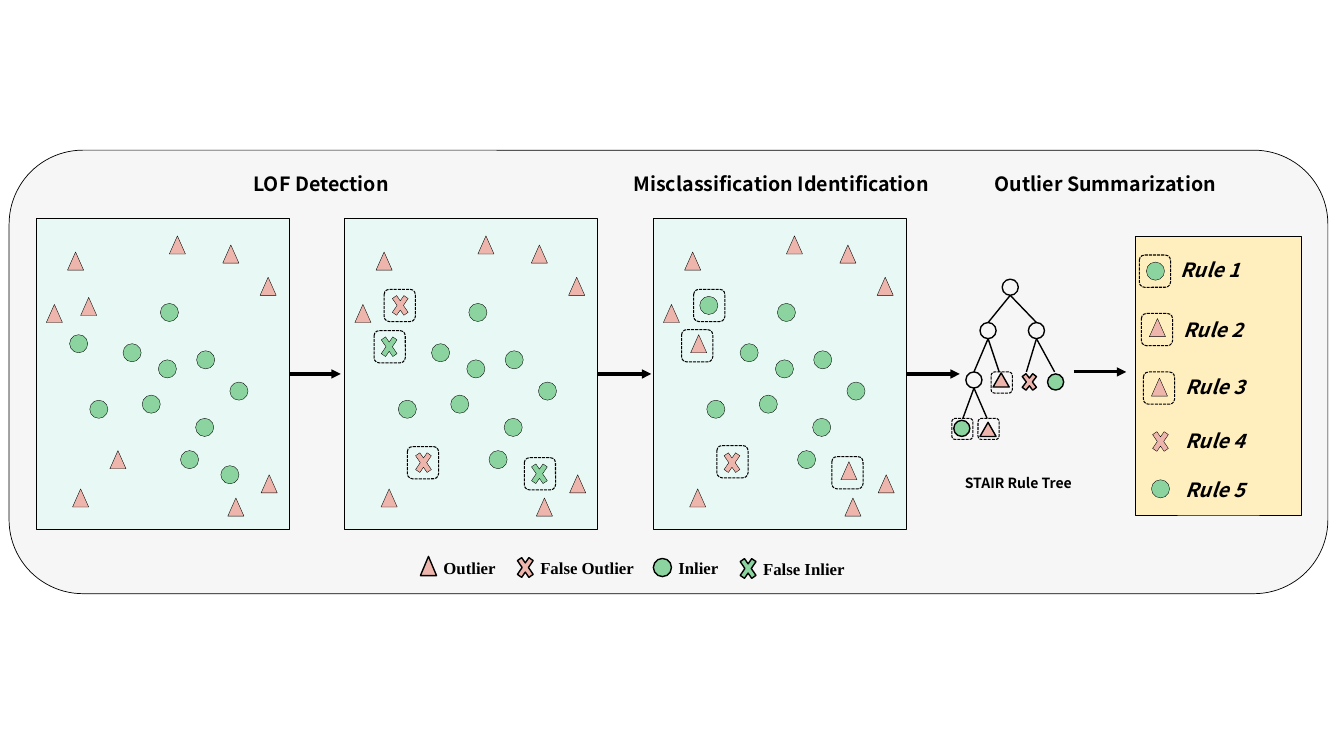
from pptx import Presentation
from pptx.dml.color import RGBColor
from pptx.enum.dml import MSO_LINE
from pptx.enum.shapes import MSO_CONNECTOR, MSO_SHAPE as SHAPE
from pptx.enum.text import MSO_ANCHOR, MSO_AUTO_SIZE, PP_ALIGN
from pptx.oxml.ns import qn
from pptx.util import Pt
from lxml.etree import SubElement

PX = 9144  # 100 px to the inch
SANS, SERIF = "Noto Sans CJK SC", "Times New Roman"
COLORS = {"ink": "000000", "frame": "F6F6F6", "panel": "E8F9F5",
          "rules": "FFEFBE", "outlier": "EDB5AC", "inlier": "8BD49F"}

# kind: preset, colour, width, height
MARKS = {
    "outlier": (SHAPE.ISOSCELES_TRIANGLE, "outlier", 16, 18),
    "inlier": (SHAPE.OVAL, "inlier", 18, 18),
    "false outlier": (SHAPE.MATH_MULTIPLY, "outlier", 22, 32),
    "false inlier": (SHAPE.MATH_MULTIPLY, "inlier", 22, 32),
}

PANEL_LEFT, PANEL_TOP, PANEL_PITCH = 36, 217, 306
PANEL_WIDTH, PANEL_HEIGHT = 251, 308
ARROW_Y = PANEL_TOP + PANEL_HEIGHT // 2
ARROW_ENDS = (338, 646, 952)

# Points found in every panel, placed as in the first one
SHARED_POINTS = {
    "outlier": [(67, 250), (258, 275), (226, 494), (259, 471),
                (46, 302), (221, 243), (168, 234), (72, 485)],
    "inlier": [(159, 301), (195, 348), (141, 392), (194, 415), (228, 379),
               (179, 447), (122, 341), (89, 397), (157, 357)],
}
# Points that change from panel to panel: kind, position, dashed box
CHANGING_POINTS = (
    [("outlier", (109, 447), None), ("outlier", (80, 295), None),
     ("inlier", (219, 462), None), ("inlier", (69, 332), None)],
    [("false outlier", (409, 443), (404, 443)),
     ("false outlier", (386, 287), (381, 287)),
     ("false inlier", (524, 454), (520, 454)),
     ("false inlier", (375, 328), (371, 328))],
    [("false outlier", (715, 443), (711, 442)),
     ("inlier", (694, 294), (688, 287)),
     ("outlier", (834, 458), (825, 453)),
     ("outlier", (685, 332), (676, 327))],
)

# Inner tree nodes: left, top, and the points their branches reach
TREE = [
    (994, 277, [(980, 320), (1028, 320)]),
    (972, 320, [(966, 369), (991, 369)]),
    (1020, 320, [(1018, 369), (1046, 369)]),
    (958, 369, [(955, 415), (979, 415)]),
]
# Leaves: preset, colour, left, top, width, height
LEAVES = [
    (SHAPE.FLOWCHART_EXTRACT, "outlier", 985, 370, 16, 14),
    (SHAPE.MATH_MULTIPLY, "outlier", 1011, 366, 20, 26),
    (SHAPE.OVAL, "inlier", 1039, 371, 16, 16),
    (SHAPE.OVAL, "inlier", 946, 417, 16, 16),
    (SHAPE.ISOSCELES_TRIANGLE, "outlier", 972, 419, 16, 14),
]
LEAF_BOXES = [(983, 369), (944, 415), (970, 415)]

# Rules: kind, mark position, dashed box, label position
RULES = [
    ("inlier", (1137, 260), (1130, 253), (1161, 251)),
    ("outlier", (1140, 316), (1132, 311), (1164, 310)),
    ("outlier", (1142, 375), (1134, 369), (1166, 367)),
    ("false outlier", (1140, 422), None, (1166, 421)),
    ("inlier", (1142, 476), None, (1166, 469)),
]
# Legend: preset, colour, mark box, label, label box
LEGEND = [
    (SHAPE.FLOWCHART_EXTRACT, "outlier", (417, 552, 16, 19),
     "Outlier", (430, 548, 77, 30)),
    (SHAPE.MATH_MULTIPLY, "outlier", (510, 547, 22, 32),
     "False Outlier", (526, 548, 125, 30)),
    (SHAPE.OVAL, "inlier", (648, 554, 18, 18),
     "Inlier", (663, 548, 60, 30)),
    (SHAPE.MATH_MULTIPLY, "inlier", (731, 548, 22, 32),
     "False Inlier", (747, 549, 110, 30)),
]


def rgb(name):
    return RGBColor.from_string(COLORS[name])


def emu(*lengths):
    return [length * PX for length in lengths]


def add_outlined(slide, preset, box, color=None, weight=0.5):
    """Add a preset shape with a black outline; no colour means no fill."""
    shape = slide.shapes.add_shape(preset, *emu(*box))
    shape.shadow.inherit = False
    if color:
        shape.fill.solid()
        shape.fill.fore_color.rgb = rgb(color)
    else:
        shape.fill.background()
    shape.line.color.rgb = rgb("ink")
    shape.line.width = Pt(weight)
    return shape


def add_mark(slide, kind, position):
    preset, color, width, height = MARKS[kind]
    add_outlined(slide, preset, (*position, width, height), color, 0.25)


def add_dashed_box(slide, position, width=31, height=32):
    box = add_outlined(slide, SHAPE.ROUNDED_RECTANGLE,
                       (*position, width, height), weight=0.75)
    box.line.dash_style = MSO_LINE.SQUARE_DOT


def add_line(slide, start, end, weight=1):
    line = slide.shapes.add_connector(MSO_CONNECTOR.STRAIGHT,
                                      *emu(*start, *end))
    line.line.color.rgb = rgb("ink")
    line.line.width = Pt(weight)
    SubElement(line._element.spPr, qn("a:effectLst"))
    return line


def add_arrow(slide, start, end):
    arrow = add_line(slide, start, end, 2.25)
    SubElement(arrow.line._get_or_add_ln(), qn("a:tailEnd"), type="triangle")
    return arrow


def add_text(slide, words, box, size, font=SANS, italic=False, heading=False):
    """Add bold text; a heading is centred both ways in its box."""
    text_box = slide.shapes.add_textbox(*emu(*box))
    frame = text_box.text_frame
    frame.word_wrap = True
    paragraph = frame.paragraphs[0]
    if heading:
        frame.vertical_anchor = MSO_ANCHOR.MIDDLE
        paragraph.alignment = PP_ALIGN.CENTER
    else:
        frame.margin_right = 0
        frame.auto_size = MSO_AUTO_SIZE.SHAPE_TO_FIT_TEXT
    run = paragraph.add_run()
    run.text = words
    run.font.name = font
    run.font.size = Pt(size)
    run.font.bold = True
    run.font.italic = italic
    run.font.color.rgb = rgb("ink")


def add_panel(slide, index):
    shift = index * PANEL_PITCH
    left = PANEL_LEFT + shift
    panel = add_outlined(slide, SHAPE.RECTANGLE,
                         (left, PANEL_TOP, PANEL_WIDTH, PANEL_HEIGHT), "panel")
    for kind, points in SHARED_POINTS.items():
        for x, y in points:
            add_mark(slide, kind, (x + shift, y))
    for kind, position, box in CHANGING_POINTS[index]:
        add_mark(slide, kind, position)
        if box:
            add_dashed_box(slide, box)
    arrow = add_arrow(slide, (left + PANEL_WIDTH, ARROW_Y),
                      (ARROW_ENDS[index], ARROW_Y))
    arrow.begin_connect(panel, 3)


def add_rule_tree(slide):
    for left, top, branches in TREE:
        for branch in branches:
            add_line(slide, (left + 8, top + 16), branch)
        add_outlined(slide, SHAPE.OVAL, (left, top, 16, 16), weight=1)
    for preset, color, *box in LEAVES:
        add_outlined(slide, preset, box, color, 1)
    for position in LEAF_BOXES:
        add_dashed_box(slide, position, 21, 21)
    add_text(slide, "STAIR Rule Tree", (923, 459, 174, 41), 10, heading=True)
    add_arrow(slide, (1065, 369), (1117, 369))


def add_rules(slide):
    add_outlined(slide, SHAPE.RECTANGLE, (1126, 235, 165, 276), "rules")
    for number, (kind, position, box, label) in enumerate(RULES, 1):
        add_mark(slide, kind, position)
        if box:
            add_dashed_box(slide, box)
        add_text(slide, f"Rule {number}", (*label, 117, 34), 14, italic=True)


def add_legend(slide):
    for preset, color, mark_box, label, label_box in LEGEND:
        add_outlined(slide, preset, mark_box, color, 1)
        add_text(slide, label, label_box, 12, SERIF)


def main():
    deck = Presentation()
    deck.slide_width, deck.slide_height = emu(1333, 750)
    slide = deck.slides.add_slide(deck.slide_layouts[6])
    add_outlined(slide, SHAPE.ROUNDED_RECTANGLE, (9, 149, 1308, 440), "frame")
    for stage, left, width in (("LOF Detection", 55, 527),
                               ("Misclassification Identification", 612, 326),
                               ("Outlier Summarization", 940, 313)):
        add_text(slide, stage, (left, 161, width, 42), 14, heading=True)
    for index in range(len(CHANGING_POINTS)):
        add_panel(slide, index)
    add_rule_tree(slide)
    add_rules(slide)
    add_legend(slide)
    deck.save("out.pptx")


if __name__ == "__main__":
    main()
